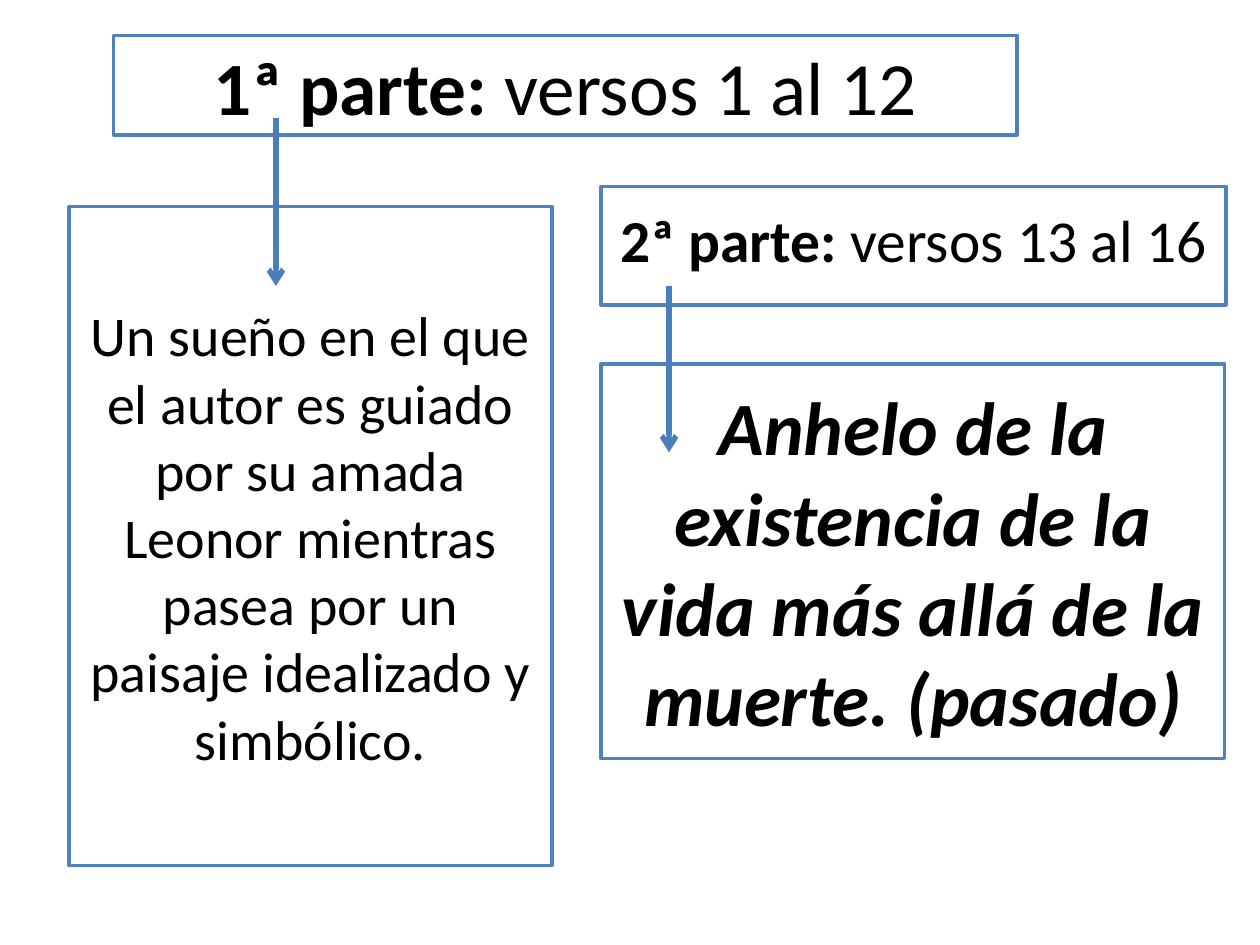
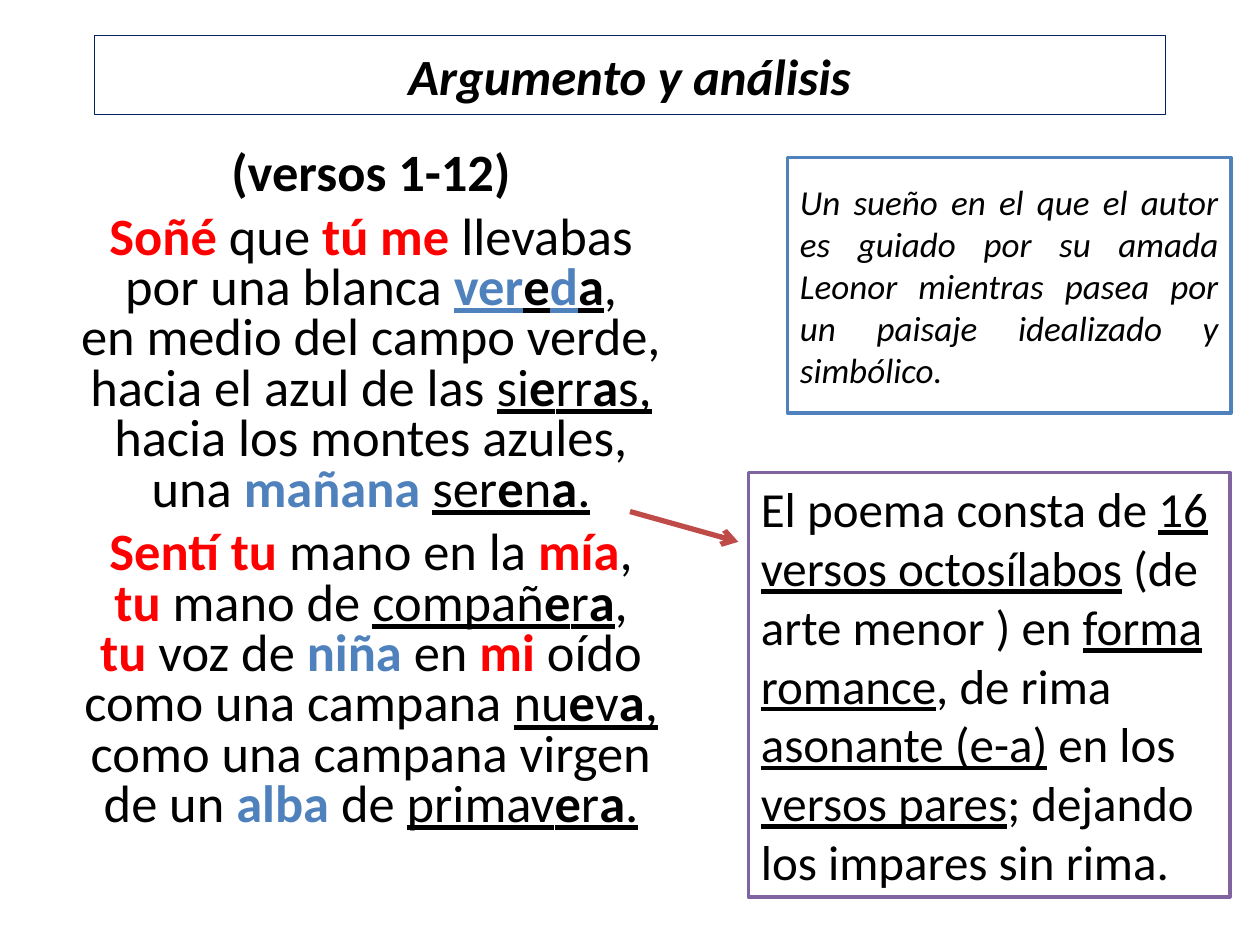
from lxml import etree
from pptx import Presentation
from pptx.dml.color import RGBColor
from pptx.enum.shapes import MSO_CONNECTOR, MSO_SHAPE
from pptx.enum.text import MSO_ANCHOR, MSO_AUTO_SIZE, PP_ALIGN
from pptx.oxml.ns import qn
from pptx.util import Inches, Pt

RECTANGLE = MSO_SHAPE.RECTANGLE
STRAIGHT = MSO_CONNECTOR.STRAIGHT
TOP, MIDDLE = MSO_ANCHOR.TOP, MSO_ANCHOR.MIDDLE
NO_AUTOFIT = MSO_AUTO_SIZE.NONE
LEFT, CENTER, JUSTIFY = PP_ALIGN.LEFT, PP_ALIGN.CENTER, PP_ALIGN.JUSTIFY

FONT = "Calibri"
COLORS = {
    "text": "000000",
    "background": "FFFFFF",
    "blue": "4F81BD",
    "arrow_blue": "4A7EBB",
    "arrow_red": "BE4B48",
    "red": "FF0000",
    "navy": "002060",
    "purple": "8064A2",
}
RUN_COLORS = {"r": "red", "a": "blue"}
SUMMARY = ("Un sueño en el que el autor es guiado por su amada Leonor "
           "mientras pasea por un paisaje idealizado y simbólico.")


def write_lines(paragraph, lines):
    for index, line in enumerate(lines):
        if index:
            paragraph.add_line_break()
        for text, style in line:
            run = paragraph.add_run()
            run.text = text
            if "b" in style:
                run.font.bold = True
            if "u" in style:
                run.font.underline = True
            for letter, color in RUN_COLORS.items():
                if letter in style:
                    run.font.color.rgb = RGBColor.from_string(COLORS[color])


def add_box(slide, bounds, paragraphs, size, outline="blue", line_width=2, alignment=CENTER,
            anchor=MIDDLE, line_spacing=1.0, bold=None, italic=None, placeholder=None):
    shape = placeholder or slide.shapes.add_shape(RECTANGLE, 0, 0, 0, 0)
    shape.left, shape.top, shape.width, shape.height = [Inches(length) for length in bounds]
    if placeholder is None:
        shape.shadow.inherit = False
    shape.fill.solid()
    shape.fill.fore_color.rgb = RGBColor.from_string(COLORS["background"])
    if outline:
        shape.line.color.rgb = RGBColor.from_string(COLORS[outline])
        shape.line.width = Pt(line_width)
    frame = shape.text_frame
    frame.word_wrap = True
    frame.auto_size = NO_AUTOFIT
    frame.vertical_anchor = anchor
    for index, lines in enumerate(paragraphs):
        paragraph = frame.add_paragraph() if index else frame.paragraphs[0]
        paragraph.alignment = alignment
        paragraph.line_spacing = line_spacing
        paragraph.space_before = Pt(7.5 if index else 0)
        paragraph.font.name = FONT
        paragraph.font.size = Pt(size)
        paragraph.font.bold = bold
        paragraph.font.italic = italic
        paragraph.font.color.rgb = RGBColor.from_string(COLORS["text"])
        write_lines(paragraph, lines)


presentation = Presentation()
presentation.slide_width = Inches(10)
presentation.slide_height = Inches(7.5)

parts_slide = presentation.slides.add_slide(presentation.slide_layouts[5])
add_box(parts_slide, (0.9, 0.28, 7.17, 0.79),
        [[[("1ª parte:", "b"), (" versos 1 al 12", "")]]], 43,
        placeholder=parts_slide.shapes.title)
add_box(parts_slide, (4.77, 1.48, 4.96, 0.94),
        [[[("2ª parte: ", "b"), ("versos 13 al 16", "")]]], 34, line_spacing=0.8)
add_box(parts_slide, (0.55, 1.64, 3.83, 5.23), [[[(SUMMARY, "")]]], 32)
add_box(parts_slide, (4.77, 2.89, 4.95, 3.13),
        [[[("Anhelo de la existencia de la vida más allá de la muerte. (pasado)", "")]]],
        43, bold=True, italic=True)

analysis_slide = presentation.slides.add_slide(presentation.slide_layouts[0])
add_box(analysis_slide, (0.75, 0.28, 8.5, 0.63), [[[("Argumento y análisis", "")]]], 29,
        outline="navy", line_width=0.25, bold=True, italic=True,
        placeholder=analysis_slide.shapes.title)

heading = [[("(versos 1-12)", "b")]]
first_stanza = [
    [("Soñé", "br"), (" que ", ""), ("tú me ", "br"), ("llevabas", "")],
    [("por una blanca ", ""), ("ver", "bua"), ("e", "bu"), ("d", "bua"), ("a", "bu"), (",", "")],
    [("en medio del campo verde,", "")],
    [("hacia el azul de las ", ""), ("si", "u"), ("e", "bu"), ("rr", "u"), ("a", "bu"),
     ("s,", "u")],
    [("hacia los montes azules,", "")],
    [("una ", ""), ("mañana ", "ba"), ("ser", "u"), ("e", "bu"), ("n", "u"), ("a", "bu"),
     (".", "u")],
]
second_stanza = [
    [("Sentí tu ", "br"), ("mano en la ", ""), ("mía", "br"), (",", "")],
    [("tu ", "br"), ("mano de ", ""), ("compañ", "u"), ("e", "bu"), ("r", "u"), ("a", "bu"),
     (",", "")],
    [("tu", "br"), (" voz de ", ""), ("niña", "ba"), (" en ", ""), ("mi", "br"), (" oído", "")],
    [("como una campana ", ""), ("nu", "u"), ("e", "bu"), ("v", "u"), ("a", "bu"), (",", "u")],
    [("como una campana virgen", "")],
    [("de un ", ""), ("alba", "ba"), (" de ", ""), ("primav", "u"), ("e", "bu"), ("r", "u"),
     ("a", "bu"), (".", "u")],
]
add_box(analysis_slide, (0.27, 1.15, 5.35, 6.03), [heading, first_stanza, second_stanza], 30,
        outline=None, anchor=TOP, line_spacing=0.8,
        placeholder=analysis_slide.placeholders[1])

metre = [[
    ("El poema consta de ", ""), ("16 versos octosílabos", "u"), (" (de arte menor ) en ", ""),
    ("forma romance", "u"), (", de rima ", ""), ("asonante (e-a)", "u"), (" en los ", ""),
    ("versos pares", "u"), ("; dejando los impares sin rima.", ""),
]]
add_box(analysis_slide, (5.94, 3.75, 3.82, 3.37), [metre], 28, outline="purple",
        alignment=LEFT, anchor=TOP)
add_box(analysis_slide, (6.25, 1.25, 3.52, 2.03), [[[(SUMMARY, "")]]], 20,
        alignment=JUSTIFY, italic=True)

arrows = [
    (parts_slide, (2.19, 0.94, 2.19, 2.27), "arrow_blue"),
    (parts_slide, (5.31, 2.27, 5.31, 3.59), "arrow_blue"),
    (analysis_slide, (5, 4.06, 5.86, 4.3), "arrow_red"),
]
for slide, ends, color in arrows:
    connector = slide.shapes.add_connector(STRAIGHT, *[Inches(length) for length in ends])
    connector.line.color.rgb = RGBColor.from_string(COLORS[color])
    connector.line.width = Pt(3)
    etree.SubElement(connector.line._get_or_add_ln(), qn("a:tailEnd"), type="arrow")
    etree.SubElement(connector._element.spPr, qn("a:effectLst"))

presentation.save("out.pptx")
